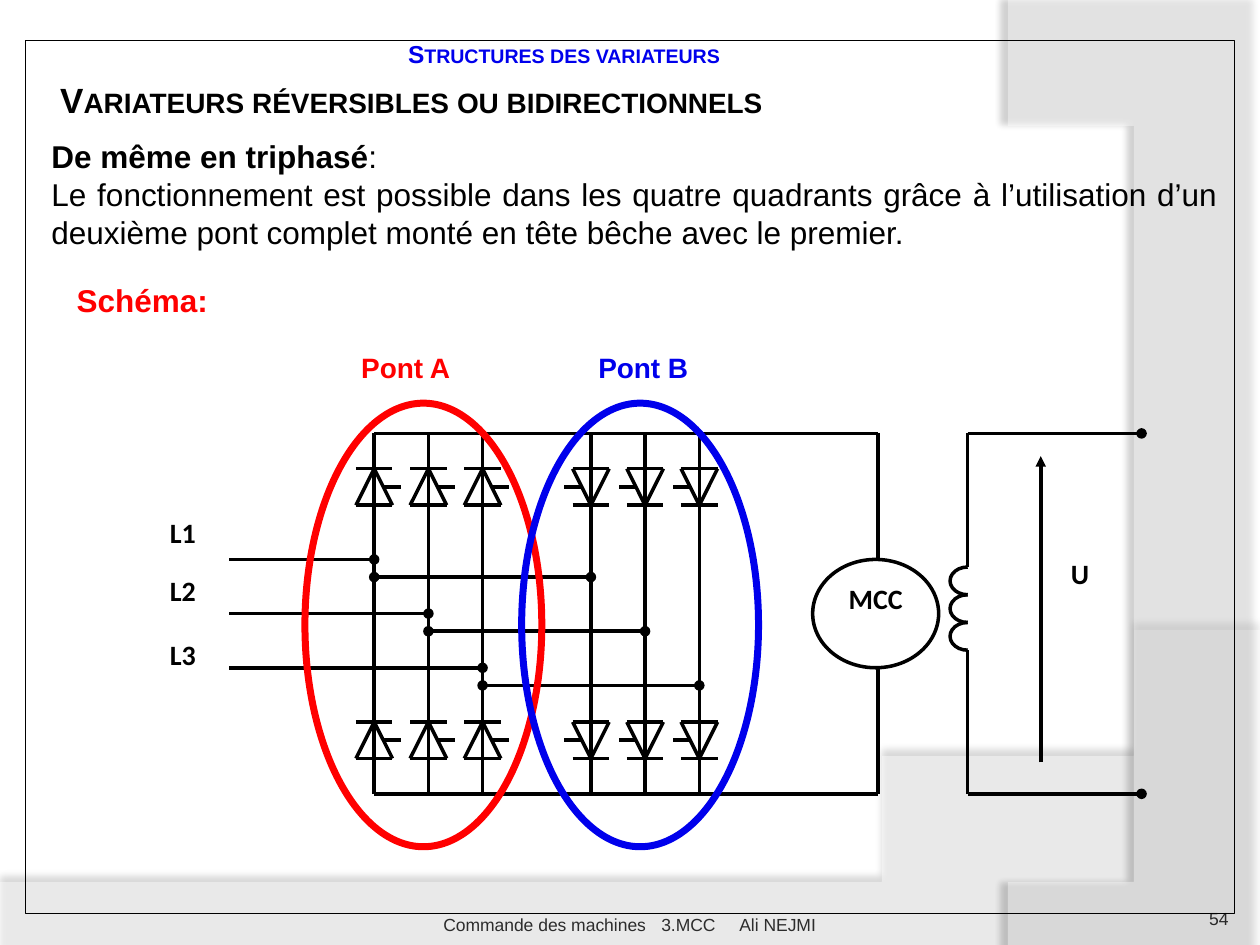
"""Build the slide on reversible three-phase drives with two back-to-back bridges."""
from lxml.etree import SubElement
from pptx import Presentation
from pptx.dml.color import RGBColor
from pptx.enum.shapes import MSO_CONNECTOR as Connector, MSO_SHAPE as Shape
from pptx.enum.text import MSO_ANCHOR as Anchor, PP_ALIGN as Align
from pptx.oxml.ns import qn
from pptx.util import Inches, Pt

COLORS = {"black": "000000", "white": "FFFFFF", "red": "FF0000", "blue": "0000EC",
          "number": "292929", "footer": "2C2C2C"}

WAVES = [
    {"corners": [(0, 7.05), (0, 7.5), (10, 7.5), (10, 5.2)],
     "controls": [(5.59, 7.29), (3.91, 7.19), (0, 7.05)],
     "opacity": 45, "shadow_opacity": 35, "distance": 3.5, "direction": 270},
    {"corners": [(8, 0), (10, 0.02), (10, 7.5), (8.21, 7.5)],
     "controls": [(9.35, 6.19), (10.18, 3), (8, 0)],
     "opacity": 40, "shadow_opacity": 45, "distance": 4, "direction": 180},
]

TOP, BOTTOM = 3.44, 6.3
BRIDGE_A, BRIDGE_B, MOTOR, FIELD = 2.97, 4.69, 6.97, 7.68
PHASE_GAP = 0.43
THYRISTOR_ROWS = (3.72, 5.73)
THYRISTOR_SIZE = 0.29
SUPPLY_LEFT, SUPPLY_TOP = 1.82, 4.44
LINK_OFFSET = 0.14
COIL_TOP, COIL_STEP, COIL_RADIUS = 4.5, 0.22, 0.14

PHASES = [("L1", 4.04), ("L2", 4.5), ("L3", 5.01)]
OUTLINES = [("Pont A", "red", 2.42, 2.73, 0.98), ("Pont B", "blue", 4.14, 4.61, 0.99)]

BODY = [
    [("De même en triphasé", True), (":", False)],
    [("Le fonctionnement est possible dans les quatre quadrants grâce à l’utilisation "
      "d’un deuxième pont complet monté en tête bêche avec le premier.", False)],
]


def rgb(name):
    return RGBColor.from_string(COLORS[name])


def write(frame, paragraphs, size=16, font="Arial", color="black", align=Align.LEFT,
          anchor=Anchor.TOP, insets=(0.1, 0.05, 0.1, 0.05), after=0,
          small_caps=False, tabs=()):
    frame.word_wrap = True
    frame.vertical_anchor = anchor
    (frame.margin_left, frame.margin_top,
     frame.margin_right, frame.margin_bottom) = map(Inches, insets)
    for index, runs in enumerate(paragraphs):
        paragraph = frame.add_paragraph() if index else frame.paragraphs[0]
        paragraph.alignment = align
        paragraph.space_after = Pt(after)
        if tabs:
            tab_list = SubElement(paragraph._p.get_or_add_pPr(), qn("a:tabLst"))
            for position in tabs:
                SubElement(tab_list, qn("a:tab"), pos=str(Inches(position)), algn="l")
        for text, bold in runs:
            run = paragraph.add_run()
            run.text = text
            run.font.size, run.font.name, run.font.bold = Pt(size), font, bold
            run.font.color.rgb = rgb(color)
            if small_caps:
                run._r.get_or_add_rPr().set("cap", "small")


def add_text(slide, text, box, bold=True, **style):
    shape = slide.shapes.add_textbox(*map(Inches, box))
    paragraphs = [[(text, bold)]] if isinstance(text, str) else text
    write(shape.text_frame, paragraphs, **style)


def add_outline(slide, kind, box, color="black", width=2.0, fill=None):
    shape = slide.shapes.add_shape(kind, *map(Inches, box))
    shape.shadow.inherit = False
    if fill:
        shape.fill.solid()
        shape.fill.fore_color.rgb = rgb(fill)
    else:
        shape.fill.background()
    shape.line.color.rgb = rgb(color)
    shape.line.width = Pt(width)
    return shape


def add_wire(slide, start, end, head=None, tail=None):
    wire = slide.shapes.add_connector(Connector.STRAIGHT, *map(Inches, (*start, *end)))
    wire.line.color.rgb = rgb("black")
    wire.line.width = Pt(2)
    line = wire.line._get_or_add_ln()
    for tag, kind in (("a:headEnd", head), ("a:tailEnd", tail)):
        if kind:
            SubElement(line, qn(tag), type=kind)
    SubElement(wire._element.spPr, qn("a:effectLst"))


def add_wave(slide, corners, controls, opacity, shadow_opacity, distance, direction):
    curve = [corners[-1], *controls]
    steps = 40
    points = list(corners)
    for step in range(1, steps + 1):
        t = step / steps
        weights = ((1 - t) ** 3, 3 * t * (1 - t) ** 2, 3 * t * t * (1 - t), t ** 3)
        points.append(tuple(sum(weight * point[axis] for weight, point in zip(weights, curve))
                            for axis in (0, 1)))
    builder = slide.shapes.build_freeform(*points[0], scale=Inches(1))
    builder.add_line_segments(points[1:], close=True)
    shape = builder.convert_to_shape()
    shape.line.fill.background()
    shape.fill.solid()
    shape.fill.fore_color.rgb = rgb("white")
    fill_color = shape._element.spPr.find(qn("a:solidFill"))[0]
    SubElement(fill_color, qn("a:alpha"), val=str(opacity * 1000))
    effects = SubElement(shape._element.spPr, qn("a:effectLst"))
    shadow = SubElement(effects, qn("a:outerShdw"), blurRad=str(Pt(4)), dist=str(Pt(distance)),
                        dir=str(direction * 60000), algn="ctr", rotWithShape="0")
    shadow_color = SubElement(shadow, qn("a:srgbClr"), val=COLORS["black"])
    SubElement(shadow_color, qn("a:alpha"), val=str(shadow_opacity * 1000))


def add_thyristor(slide, x, top, upward):
    half = THYRISTOR_SIZE / 2
    bottom = top + THYRISTOR_SIZE
    tip, base = (top, bottom) if upward else (bottom, top)
    side = 1 if upward else -1
    middle = top + half
    add_wire(slide, (x + side * 0.07, middle), (x + side * 0.21, middle))
    add_wire(slide, (x - half, base), (x + half, base))
    add_wire(slide, (x + half, base), (x, tip))
    add_wire(slide, (x, tip), (x - half, base))
    add_wire(slide, (x - half, tip), (x + half, tip))


def add_bridges(slide):
    for index in range(3):
        x_a, x_b = BRIDGE_A + index * PHASE_GAP, BRIDGE_B + index * PHASE_GAP
        supply = SUPPLY_TOP + index * PHASE_GAP
        link = supply + LINK_OFFSET
        add_wire(slide, (SUPPLY_LEFT, supply), (x_a, supply), tail="oval")
        add_wire(slide, (x_a, link), (x_b, link), head="oval", tail="oval")
        for x, upward in ((x_a, True), (x_b, False)):
            add_wire(slide, (x, TOP), (x, BOTTOM))
            for row in THYRISTOR_ROWS:
                add_thyristor(slide, x, row, upward)
    for y in (TOP, BOTTOM):
        add_wire(slide, (BRIDGE_A, y), (MOTOR, y))


def add_machine(slide):
    motor = add_outline(slide, Shape.OVAL, (6.45, 4.44, 1, 0.86), fill="white")
    write(motor.text_frame, [[("MCC", True)]], font="Calibri", align=Align.CENTER, after=10)
    add_wire(slide, (MOTOR, 4.44), (MOTOR, TOP))
    add_wire(slide, (MOTOR, BOTTOM), (MOTOR, 5.3))
    for index in range(3):
        box = (FIELD - COIL_RADIUS, COIL_TOP + index * COIL_STEP, 2 * COIL_RADIUS, COIL_STEP)
        coil = add_outline(slide, Shape.ARC, box)
        coil.adjustments[0], coil.adjustments[1] = 54, 162
    for y, coil_end in ((TOP, COIL_TOP), (BOTTOM, COIL_TOP + 3 * COIL_STEP)):
        add_wire(slide, (FIELD, y), (FIELD, coil_end))
        add_wire(slide, (FIELD, y), (9.06, y), tail="oval")
    add_wire(slide, (8.26, 6.05), (8.26, 3.62), tail="triangle")
    add_text(slide, "U", (8.4, 4.37, 0.43, 0.57), font="Calibri", after=10)
    for name, y in PHASES:
        add_text(slide, name, (1.25, y, 0.72, 0.57), font="Calibri", after=10)


def main():
    presentation = Presentation()
    presentation.slide_width, presentation.slide_height = Inches(10), Inches(7.5)
    slide = presentation.slides.add_slide(presentation.slide_layouts[6])
    for wave in WAVES:
        add_wave(slide, **wave)
    add_bridges(slide)
    add_machine(slide)
    add_text(slide, BODY, (0.31, 1.04, 9.45, 1.01), size=18, align=Align.JUSTIFY)
    add_text(slide, "Schéma:", (0.51, 2.18, 1.8, 0.51), size=18, color="red")
    for name, color, left, label_left, label_width in OUTLINES:
        add_outline(slide, Shape.OVAL, (left, 3.2, 1.88, 3.52), color, 4)
        add_text(slide, name, (label_left, 2.73, label_width, 0.37), color=color,
                 align=Align.CENTER)
    add_text(slide, "54", (8.92, 7.02, 0.83, 0.4), bold=False, size=10, color="number",
             align=Align.RIGHT, anchor=Anchor.BOTTOM, insets=(0, 0.05, 0, 0.05))
    add_outline(slide, Shape.RECTANGLE, (0.2, 0.32, 9.6, 6.93), width=0.75)
    add_text(slide, "Variateurs réversibles ou bidirectionnels", (0.38, 0.57, 10, 0.44),
             size=20, anchor=Anchor.MIDDLE, small_caps=True)
    add_text(slide, "Commande des machines\t3.MCC\tAli NEJMI", (3.42, 7.02, 3.17, 0.4),
             bold=False, size=10, color="footer", anchor=Anchor.BOTTOM,
             insets=(0.1, 0.05, 0, 0), tabs=(1.73, 2.35))
    add_text(slide, "Structures des variateurs", (3.14, 0.26, 2.8, 0.34), size=14,
             color="blue", small_caps=True)
    presentation.save("out.pptx")


if __name__ == "__main__":
    main()
